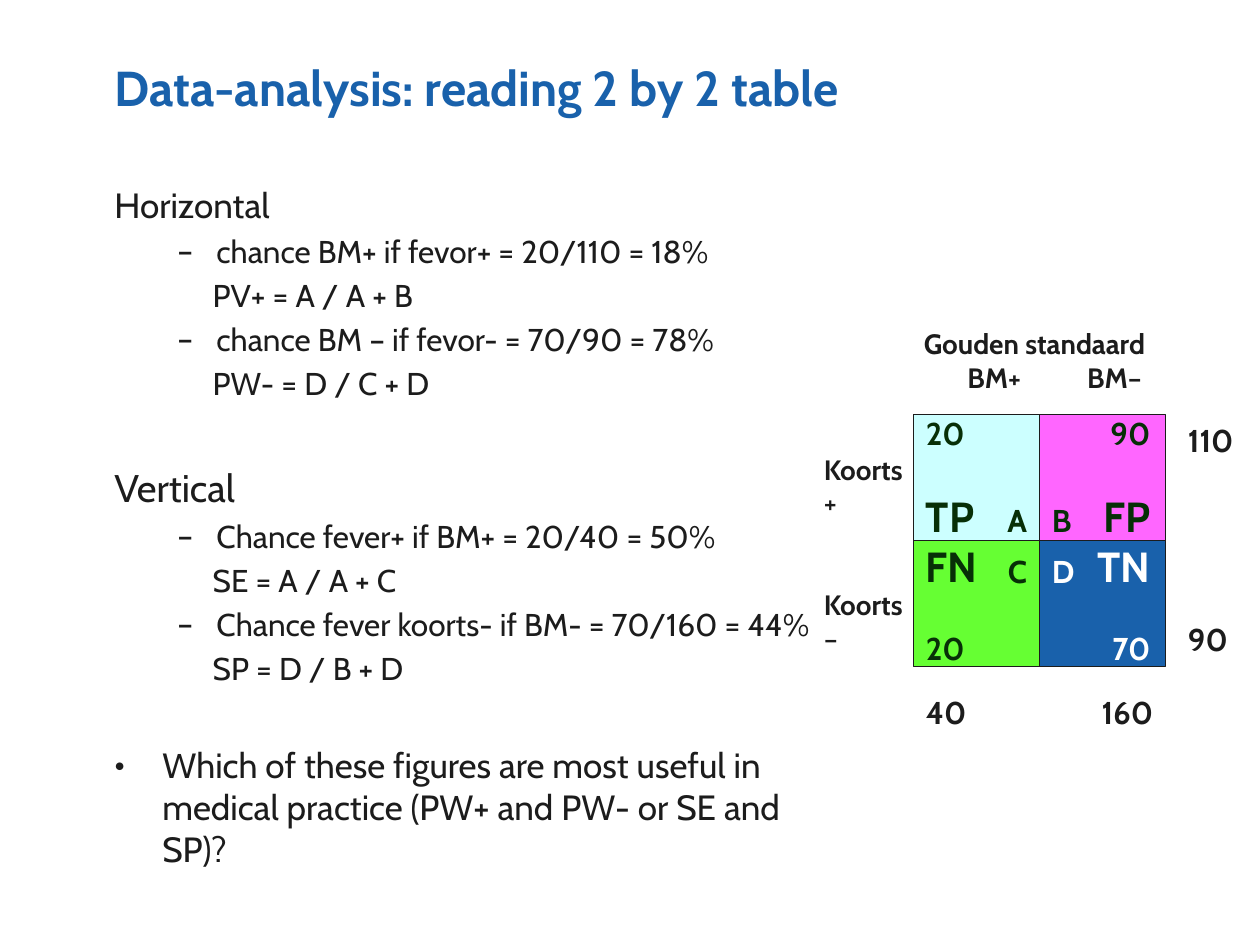
from dataclasses import dataclass

from lxml import etree
from pptx import Presentation
from pptx.dml.color import RGBColor
from pptx.enum.shapes import MSO_SHAPE
from pptx.enum.text import MSO_ANCHOR, PP_ALIGN
from pptx.oxml.ns import qn
from pptx.util import Inches, Pt

RECT = MSO_SHAPE.RECTANGLE
TOP, MIDDLE = MSO_ANCHOR.TOP, MSO_ANCHOR.MIDDLE
LEFT, CENTER, RIGHT = PP_ALIGN.LEFT, PP_ALIGN.CENTER, PP_ALIGN.RIGHT
FONT = "Cabin"
INK, BLUE, GREEN, WHITE = "1C1C1C", "1961AB", "072F07", "FFFFFF"
GRID_LEFT, GRID_TOP, CELL = 7.25, 3.29, 1
LETTER_SIZE = 0.4
CELL_GAP = 22


@dataclass
class Run:
    text: str
    size: float
    bold: bool = True


@dataclass
class Para:
    runs: list[Run]
    before: float = 0
    margin: float = 0
    indent: float = 0
    bullet: str = ""
    align: PP_ALIGN = LEFT


@dataclass
class Cell:
    col: int
    row: int
    fill: str
    color: str
    code: str
    count: str
    letter: str


@dataclass
class Label:
    text: str
    size: float
    x: float
    y: float
    align: PP_ALIGN = LEFT


def rgb(value: str) -> RGBColor:
    return RGBColor.from_string(value)


def write(tf, paras: list[Para], color: str) -> None:
    tf.word_wrap = True
    for i, para in enumerate(paras):
        p = tf.add_paragraph() if i else tf.paragraphs[0]
        p.alignment = para.align
        p.space_before = Pt(para.before)
        pPr = p._p.get_or_add_pPr()
        pPr.set("marL", str(Inches(para.margin)))
        pPr.set("indent", str(Inches(para.indent)))
        if para.bullet:
            etree.SubElement(pPr, qn("a:buFont"), typeface=FONT)
            etree.SubElement(pPr, qn("a:buChar"), char=para.bullet)
        for run in para.runs:
            r = p.add_run()
            r.text = run.text
            r.font.name = FONT
            r.font.size = Pt(run.size)
            r.font.bold = run.bold
            r.font.color.rgb = rgb(color)


def add_text(s, x: float, y: float, w: float, h: float, paras: list[Para], color: str = INK) -> None:
    tf = s.shapes.add_textbox(Inches(x), Inches(y), Inches(w), Inches(h)).text_frame
    tf.vertical_anchor = TOP
    write(tf, paras, color)


def add_cell(s, cell: Cell) -> None:
    x, y = GRID_LEFT + cell.col * CELL, GRID_TOP + cell.row * CELL
    sp = s.shapes.add_shape(RECT, Inches(x), Inches(y), Inches(CELL), Inches(CELL))
    sp.shadow.inherit = False
    sp.fill.solid()
    sp.fill.fore_color.rgb = rgb(cell.fill)
    sp.line.color.rgb = rgb(INK)
    sp.line.width = Pt(0.75)
    tf = sp.text_frame
    tf.vertical_anchor = MIDDLE
    tf.margin_right = Inches(0.12)
    tf.margin_top = tf.margin_bottom = 0
    outer, inner = (RIGHT, LEFT) if cell.col else (LEFT, RIGHT)
    runs = [Run(cell.count, 18), Run(cell.code, 24)]
    if cell.row:
        runs.reverse()
    write(tf, [Para([run], i * CELL_GAP, align=outer) for i, run in enumerate(runs)], cell.color)
    letter_x = GRID_LEFT + CELL - (0 if cell.col else LETTER_SIZE)
    letter_y = GRID_TOP + CELL + (0.04 if cell.row else -0.36)
    add_text(s, letter_x, letter_y, LETTER_SIZE, LETTER_SIZE,
             [Para([Run(cell.letter, 18)], align=inner)], cell.color)


def heading(text: str, size: float, before: float) -> Para:
    return Para([Run(text, size, False)], before)


def chance(text: str) -> Para:
    return Para([Run(text, 18, False)], 3.6, 0.81, -0.31, "–")


def formula(text: str) -> Para:
    return Para([Run(text, 18, False)], 3.6, 0.78)


BODY = [
    heading("Horizontal", 20, 4),
    chance("chance BM+ if fevor+ = 20/110 = 18%"),
    formula("PV+ = A / A + B"),
    chance("chance BM – if fevor- = 70/90 = 78%"),
    formula("PW- = D / C + D"),
    heading("Vertical", 22, 35.5),
    chance("Chance fever+ if BM+ = 20/40 = 50%"),
    formula("SE = A / A + C"),
    chance("Chance fever koorts- if BM- = 70/160 = 44%"),
    formula("SP = D / B + D"),
    Para([Run("Which of these figures are most useful in medical practice "
              "(PW+ and PW- or SE and SP)?", 20, False)], 32.3, 0.38, -0.38, "•"),
]
CELLS = [
    Cell(0, 0, "CCFFFF", GREEN, "TP", "20", "A"),
    Cell(0, 1, "66FF33", GREEN, "FN", "20", "C"),
    Cell(1, 0, "FF66FF", GREEN, "FP", "90", "B"),
    Cell(1, 1, BLUE, WHITE, "TN", "70", "D"),
]
LABELS = [
    Label("BM+", 16, 7.58, 2.81),
    Label("BM–", 16, 8.53, 2.81),
    Label("110", 18, 9.33, 3.29),
    Label("90", 18, 9.33, 4.87),
    Label("40", 18, 7.25, 5.45),
    Label("160", 18, 8.5, 5.45, RIGHT),
]


def main() -> None:
    prs = Presentation()
    prs.slide_width, prs.slide_height = Inches(10), Inches(7.5)
    s = prs.slides.add_slide(prs.slide_layouts[6])
    add_text(s, 0.81, 0.41, 8.25, 0.89,
             [Para([Run("Data-analysis: reading 2 by 2 table", 28)])], BLUE)
    add_text(s, 0.81, 1.41, 5.74, 4.63, BODY)
    for cell in CELLS:
        add_cell(s, cell)
    add_text(s, 6.92, 2.54, 2.58, 0.37, [Para([Run("Gouden standaard", 16)], align=CENTER)])
    add_text(s, 6.44, 3.54, 0.89, 1.72, [
        Para([Run("Koorts ", 16), Run("+", 16, False)]),
        Para([Run("Koorts ", 16), Run("–", 16, False)], 39)])
    for label in LABELS:
        add_text(s, label.x, label.y, 0.75, 0.4,
                 [Para([Run(label.text, label.size)], align=label.align)])
    prs.save("out.pptx")


if __name__ == "__main__":
    main()
